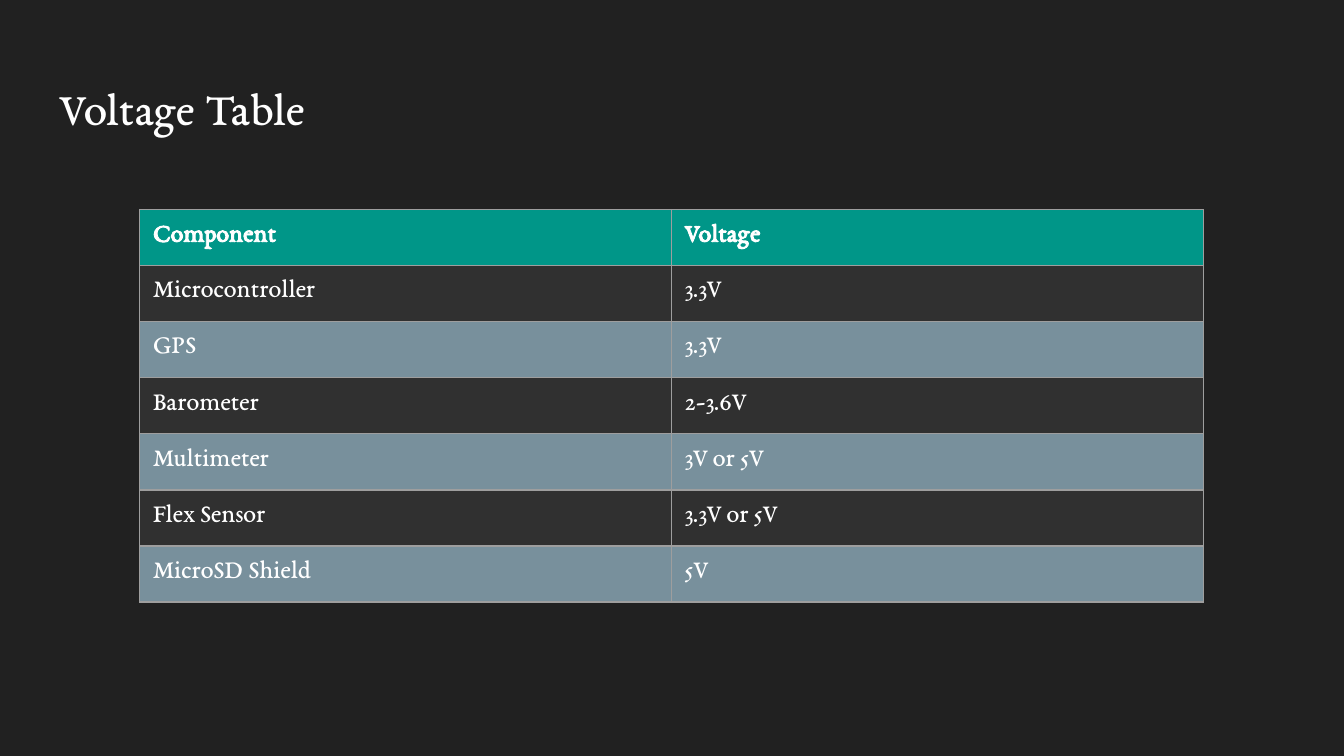
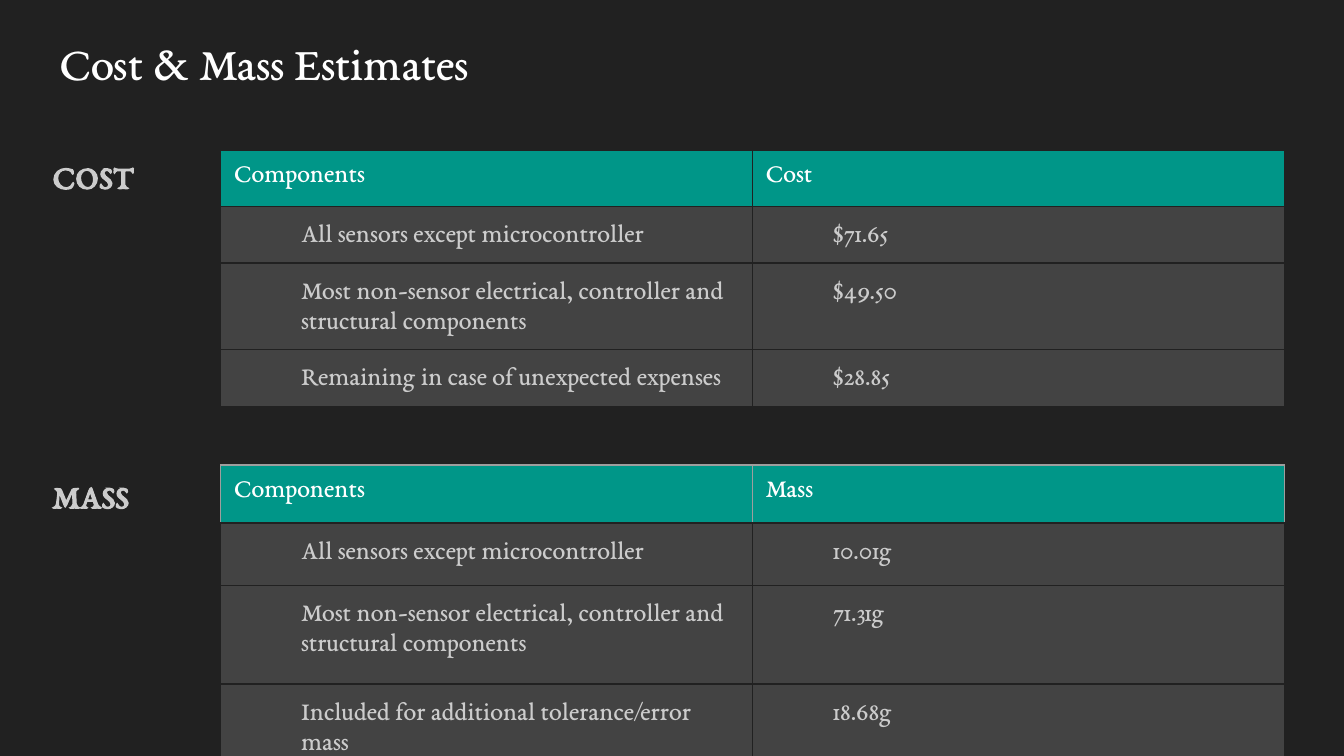
"""Build the voltage table and the cost and mass estimate slides."""
from dataclasses import dataclass

from lxml.etree import SubElement
from pptx import Presentation
from pptx.dml.color import RGBColor as Color
from pptx.enum.text import MSO_ANCHOR as Anchor, MSO_AUTO_SIZE as AutoSize, PP_ALIGN as Align
from pptx.oxml.ns import qn
from pptx.util import Cm, Pt


@dataclass(frozen=True)
class Theme:
    font: str = "EB Garamond"
    background: str = "212121"
    white: str = "FFFFFF"
    muted: str = "CCCCCC"
    header: str = "009688"
    dark_row: str = "303030"
    light_row: str = "78909C"
    estimate_row: str = "434343"
    grid: str = "9E9E9E"
    title_size: float = 25.2
    label_size: float = 18
    cell_size: float = 14


THEME = Theme()
INSET, INDENT = Cm(0.25), Cm(1.27)
ROW_HEIGHT, COLUMN_WIDTH = Cm(1.06), Cm(10.05)

VOLTAGES = [
    ("Component", "Voltage"),
    ("Microcontroller", "3.3V"),
    ("GPS", "3.3V"),
    ("Barometer", "2-3.6V"),
    ("Multimeter", "3V or 5V"),
    ("Flex Sensor", "3.3V or 5V"),
    ("MicroSD Shield", "5V"),
]
SENSORS = "All sensors except microcontroller"
OTHER_PARTS = "Most non-sensor electrical, controller and structural components"
COSTS = [
    ("Components", "Cost"),
    (SENSORS, "$71.65"),
    (OTHER_PARTS, "$49.50"),
    ("Remaining in case of unexpected expenses", "$28.85"),
]
MASSES = [
    ("Components", "Mass"),
    (SENSORS, "10.01g"),
    (OTHER_PARTS, "71.31g"),
    ("Included for additional tolerance/error mass", "18.68g"),
]
ESTIMATES = [
    dict(label="COST", rows=COSTS, top=2.84, header_line=THEME.background,
         label_top=2.57, label_width=6.91, label_height=1.04),
    dict(label="MASS", rows=MASSES, top=8.79, header_line=THEME.grid,
         label_top=8.61, label_width=8.33, label_height=1.27),
]


def style(para, size, color, bold=False):
    font = para.font
    font.name, font.size, font.bold = THEME.font, Pt(size), bold
    font.color.rgb = Color.from_string(color)


def indent(para, space_after):
    properties = para._p.get_or_add_pPr()
    properties.set("marL", str(INDENT))
    properties.set("indent", "0")
    para.line_spacing = 1.15
    para.space_after = Pt(space_after)


def set_insets(frame):
    frame.margin_left = frame.margin_right = INSET
    frame.margin_top = frame.margin_bottom = INSET


def add_page(deck, title, top):
    page = deck.slides.add_slide(deck.slide_layouts[5])
    box = page.shapes.title
    box.left, box.top, box.width, box.height = Cm(0.87), Cm(top), Cm(23.67), Cm(1.6)
    frame = box.text_frame
    frame.text = title
    frame.vertical_anchor, frame.auto_size = Anchor.TOP, AutoSize.NONE
    set_insets(frame)
    para = frame.paragraphs[0]
    para.alignment = Align.LEFT
    style(para, THEME.title_size, THEME.white)
    return page


def set_borders(cell, sides):
    properties = cell._tc.get_or_add_tcPr()
    for position, (side, color) in enumerate(sides.items()):
        line = SubElement(properties, qn(f"a:ln{side}"), w=str(Pt(0.75)))
        fill = SubElement(line, qn("a:solidFill"))
        SubElement(fill, qn("a:srgbClr"), val=color)
        properties.insert(position, line)


def add_grid(page, rows, left, top, row_fills, line, header_line, text, header_bold, indented):
    table = page.shapes.add_table(len(rows), 2, Cm(left), Cm(top),
                                  2 * COLUMN_WIDTH, ROW_HEIGHT * len(rows)).table
    table.first_row = table.horz_banding = False
    for column in table.columns:
        column.width = COLUMN_WIDTH
    for r, values in enumerate(rows):
        table.rows[r].height = ROW_HEIGHT
        is_header = r == 0
        for c, value in enumerate(values):
            cell = table.cell(r, c)
            cell.text = value
            set_insets(cell)
            cell.fill.solid()
            fill = THEME.header if is_header else row_fills[(r - 1) % len(row_fills)]
            cell.fill.fore_color.rgb = Color.from_string(fill)
            edge = header_line if is_header else line
            set_borders(cell, {"L": edge, "R": edge, "T": edge, "B": line})
            para = cell.text_frame.paragraphs[0]
            if indented and not is_header:
                indent(para, 10)
            style(para, THEME.cell_size, THEME.white if is_header else text,
                  is_header and header_bold)


def add_label(page, text, top, width, height):
    box = page.shapes.add_textbox(Cm(-0.53), Cm(top), Cm(width), Cm(height))
    frame = box.text_frame
    frame.word_wrap = True
    set_insets(frame)
    frame.text = text
    para = frame.paragraphs[0]
    indent(para, 12)
    style(para, THEME.label_size, THEME.muted, True)


def main():
    deck = Presentation()
    deck.slide_width, deck.slide_height = Cm(25.4), Cm(14.29)
    backdrop = deck.slide_master.background.fill
    backdrop.solid()
    backdrop.fore_color.rgb = Color.from_string(THEME.background)

    page = add_page(deck, "Voltage Table", 1.24)
    add_grid(page, VOLTAGES, 2.64, 3.96, (THEME.dark_row, THEME.light_row),
             THEME.grid, THEME.grid, THEME.white, header_bold=True, indented=False)

    page = add_page(deck, "Cost & Mass Estimates", 0.38)
    for part in ESTIMATES:
        add_grid(page, part["rows"], 4.17, part["top"], (THEME.estimate_row,),
                 THEME.background, part["header_line"], THEME.muted,
                 header_bold=False, indented=True)
        add_label(page, part["label"], part["label_top"], part["label_width"],
                  part["label_height"])
    deck.save("out.pptx")


if __name__ == "__main__":
    main()
